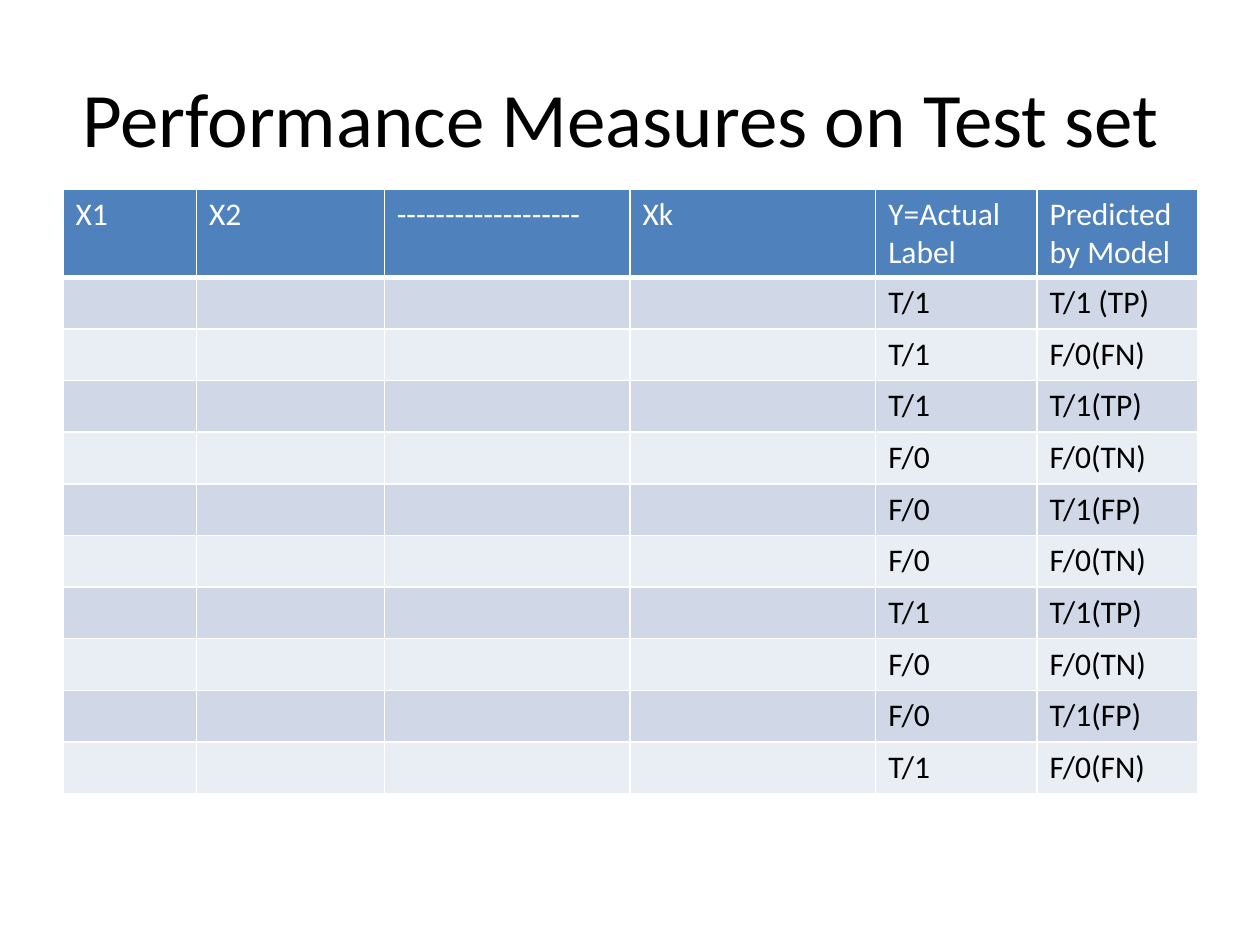
from lxml.etree import SubElement
from pptx import Presentation
from pptx.dml.color import RGBColor
from pptx.enum.text import MSO_ANCHOR as Anchor, PP_ALIGN as Align
from pptx.oxml.ns import qn
from pptx.util import Inches, Pt

HEADERS = ["X1", "X2", "-" * 19, "Xk", "Y=Actual Label", "Predicted by Model"]
RESULTS = [
    ("T/1", "T/1 (TP)"), ("T/1", "F/0(FN)"), ("T/1", "T/1(TP)"),
    ("F/0", "F/0(TN)"), ("F/0", "T/1(FP)"), ("F/0", "F/0(TN)"),
    ("T/1", "T/1(TP)"), ("F/0", "F/0(TN)"), ("F/0", "T/1(FP)"),
    ("T/1", "F/0(FN)"),
]
COL_WIDTHS = [1.06, 1.49, 1.95, 1.95, 1.28, 1.28]
ROW_HEIGHT = 0.41


def rgb(value):
    """Turn a hex string into a colour."""
    return RGBColor.from_string(value)


class Deck:
    """Holds the style and the current slide."""

    font = "Calibri"
    ink, white, header = "000000", "FFFFFF", "4F81BD"
    bands = ("D0D8E8", "E9EDF4")

    def __init__(self, slide):
        """Keep the slide to draw on."""
        self.slide = slide

    def style(self, p, size, color):
        """Format the paragraph and its runs."""
        for target in (p, *p.runs):
            target.font.name = self.font
            target.font.size = Pt(size)
            target.font.color.rgb = rgb(color)

    def title(self, text, left, top, width, height):
        """Add a centred title."""
        box = self.slide.shapes.add_textbox(*map(Inches, (left, top, width, height)))
        tf = box.text_frame
        tf.word_wrap = True
        tf.vertical_anchor = Anchor.MIDDLE
        tf.text = text
        p = tf.paragraphs[0]
        p.alignment = Align.CENTER
        self.style(p, 44, self.ink)

    def borders(self, cell, bottom):
        """Draw white cell borders; bottom is the lower line's width in points."""
        tc_pr = cell._tc.get_or_add_tcPr()
        for side, width in (("L", 1), ("R", 1), ("T", 1), ("B", bottom)):
            ln = SubElement(tc_pr, qn(f"a:ln{side}"), w=str(Pt(width)))
            fill = SubElement(ln, qn("a:solidFill"))
            SubElement(fill, qn("a:srgbClr"), val=self.white)

    def cell(self, cell, text, row):
        """Fill one cell; row 0 is the header, the others alternate."""
        is_header = row == 0
        self.borders(cell, 3 if is_header else 1)
        cell.fill.solid()
        cell.fill.fore_color.rgb = rgb(self.header if is_header else self.bands[(row - 1) % 2])
        cell.text = text
        self.style(cell.text_frame.paragraphs[0], 18, self.white if is_header else self.ink)

    def table(self, rows, left, top, widths, row_height):
        """Add a banded table with a header row."""
        frame = self.slide.shapes.add_table(
            len(rows), len(widths), Inches(left), Inches(top),
            Inches(sum(widths)), Inches(row_height * len(rows)))
        table = frame.table
        for column, width in zip(table.columns, widths):
            column.width = Inches(width)
        for i, texts in enumerate(rows):
            table.rows[i].height = Inches(row_height)
            for j, text in enumerate(texts):
                self.cell(table.cell(i, j), text, i)


prs = Presentation()
prs.slide_width, prs.slide_height = Inches(10), Inches(7.5)
deck = Deck(prs.slides.add_slide(prs.slide_layouts[6]))
deck.title("Performance Measures on Test set ", 0.5, 0.3, 9, 1.25)
blanks = [""] * (len(HEADERS) - 2)
rows = [HEADERS] + [blanks + list(result) for result in RESULTS]
deck.table(rows, 0.5, 1.5, COL_WIDTHS, ROW_HEIGHT)
prs.save("out.pptx")
